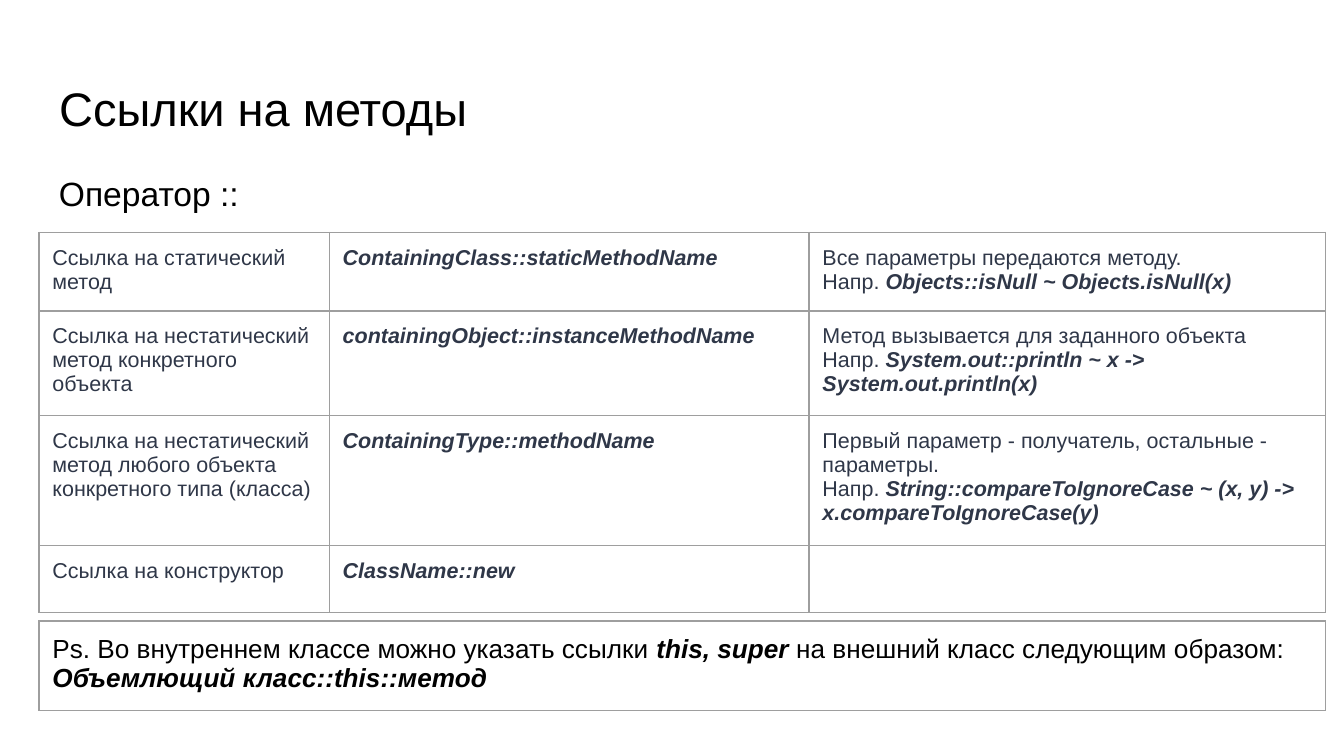
from lxml import etree
from pptx import Presentation
from pptx.dml.color import RGBColor
from pptx.enum.text import MSO_ANCHOR, PP_ALIGN
from pptx.oxml.ns import qn
from pptx.util import Inches, Pt

LEFT = PP_ALIGN.LEFT
TOP = MSO_ANCHOR.TOP
TITLE_ONLY = 5
FONT = "Arial"
BLACK, SLATE, GREY = "000000", "2F3748", "9E9E9E"
MARGIN = 0.1
TABLE_LEFT = 0.29
ROW_HEIGHT = 0.42

# Asterisks enclose bold italic code.
REFERENCE_ROWS = [
    ["Ссылка на статический метод",
     "*ContainingClass::staticMethodName*",
     "Все параметры передаются методу.\n"
     "Напр. *Objects::isNull ~ Objects.isNull(x)*"],
    ["Ссылка на нестатический метод конкретного объекта",
     "*containingObject::instanceMethodName*",
     "Метод вызывается для заданного объекта\n"
     "Напр. *System.out::println ~ x -> System.out.println(x)*"],
    ["Ссылка на нестатический метод любого объекта конкретного типа (класса)",
     "*ContainingType::methodName*",
     "Первый параметр - получатель, остальные - параметры.\n"
     "Напр. *String::compareToIgnoreCase ~ (x, y) -> x.compareToIgnoreCase(y)*"],
    ["Ссылка на конструктор", "*ClassName::new*", ""],
]
POSTSCRIPT = ("Ps. Во внутреннем классе можно указать ссылки *this, super *"
              "на внешний класс следующим образом: "
              "*Объемлющий класс::this::метод*")


def rgb(hex_color):
    """Turn a hex string into a colour."""
    return RGBColor.from_string(hex_color)


def set_margins(target):
    """Give a cell or text frame equal margins on all sides."""
    for side in ("left", "right", "top", "bottom"):
        setattr(target, f"margin_{side}", Inches(MARGIN))


def write_text(frame, text, size, color):
    """Write lines as paragraphs, with starred parts in bold italic."""
    frame.word_wrap = True
    for index, line in enumerate(text.split("\n")):
        paragraph = frame.add_paragraph() if index else frame.paragraphs[0]
        paragraph.alignment = LEFT
        font = paragraph.font
        font.name, font.size = FONT, Pt(size)
        font.color.rgb = rgb(color)
        for part, words in enumerate(line.split("*")):
            if words:
                run = paragraph.add_run()
                run.text = words
                if part % 2:
                    run.font.bold = run.font.italic = True


def add_heading(shape, text, top, height, size):
    """Place and write a heading in a placeholder or text box."""
    shape.left, shape.top = Inches(0.34), Inches(top)
    shape.width, shape.height = Inches(9.32), Inches(height)
    frame = shape.text_frame
    set_margins(frame)
    frame.vertical_anchor = TOP
    write_text(frame, text, size, BLACK)
    return frame.paragraphs[0]


def add_borders(cell):
    """Draw thin grey borders around a cell."""
    properties = cell._tc.get_or_add_tcPr()
    for side in ("lnL", "lnR", "lnT", "lnB"):
        line = etree.SubElement(properties, qn(f"a:{side}"), w=str(Pt(0.75)))
        fill = etree.SubElement(line, qn("a:solidFill"))
        etree.SubElement(fill, qn("a:srgbClr"), val=GREY)


def add_grid(slide, top, widths, rows, size, color):
    """Add a plain bordered table whose rows grow with their text."""
    table = slide.shapes.add_table(
        len(rows), len(widths), Inches(TABLE_LEFT), Inches(top),
        Inches(sum(widths)), Inches(ROW_HEIGHT * len(rows))).table
    table.first_row = table.horz_banding = False
    for column, width in zip(table.columns, widths):
        column.width = Inches(width)
    for row, texts in zip(table.rows, rows):
        for cell, text in zip(row.cells, texts):
            set_margins(cell)
            cell.vertical_anchor = TOP
            add_borders(cell)
            cell.fill.background()
            if text:
                write_text(cell.text_frame, text, size, color)


def main():
    """Build the slide about method references."""
    deck = Presentation()
    deck.slide_width = Inches(10)
    deck.slide_height = deck.slide_width * 9 // 16
    slide = deck.slides.add_slide(deck.slide_layouts[TITLE_ONLY])
    add_heading(slide.shapes.title, "Ссылки на методы", 0.49, 0.63, 25.2)
    subtitle = slide.shapes.add_textbox(0, 0, 0, 0)
    operator = add_heading(subtitle, "Оператор ::", 1.14, 3.74, 18)
    operator.line_spacing = 1.15
    operator.space_after = Pt(12)
    add_grid(slide, 1.73, [2.16, 3.57, 3.84], REFERENCE_ROWS, 11.5, SLATE)
    add_grid(slide, 4.62, [9.57], [[POSTSCRIPT]], 14, BLACK)
    deck.save("out.pptx")


main()
